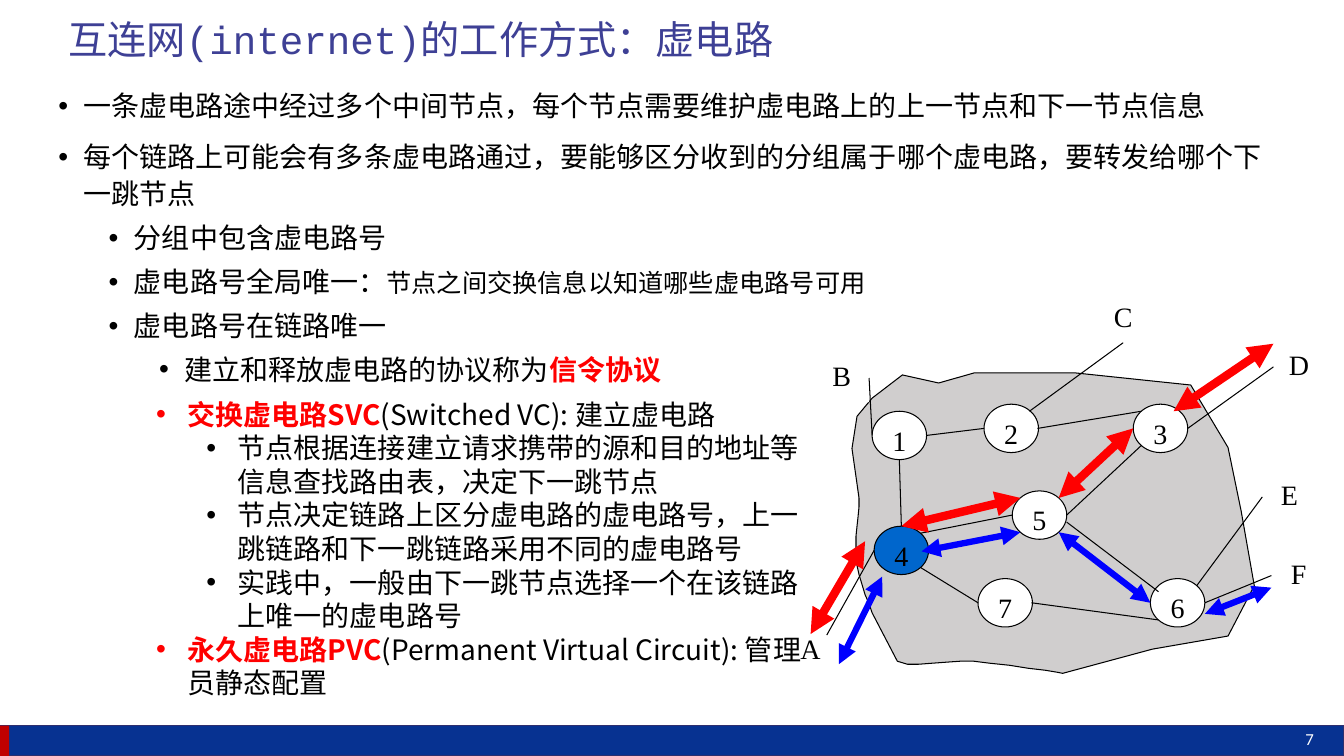
import pptx
import pptx.util
import pptx.dml.color
import pptx.enum.shapes
import pptx.enum.text
import pptx.oxml
import pptx.oxml.ns
from lxml import etree

PX = 9144
CJK = "Noto Sans CJK SC"
SHAPES = pptx.enum.shapes.MSO_SHAPE
ALIGN = pptx.enum.text.PP_ALIGN
ANCHOR = pptx.enum.text.MSO_ANCHOR


def color(value):
    return pptx.dml.color.RGBColor.from_string(value)


def apply(target, values):
    for name, value in values.items():
        setattr(target, name, value)


def add_xml(parent, tag, **attributes):
    element = etree.SubElement(parent, pptx.oxml.ns.qn(tag))
    for name, value in attributes.items():
        element.set(name, str(value))
    return element


def curve(start, first, second, end, steps=6):
    points = []
    for step in range(1, steps + 1):
        t = step / steps
        weights = ((1 - t) ** 3, 3 * t * (1 - t) ** 2, 3 * t * t * (1 - t), t ** 3)
        points.append(tuple(
            round(sum(w * p[axis] for w, p in zip(weights, (start, first, second, end))))
            for axis in (0, 1)))
    return points


class SlideBuilder:
    def __init__(self, page, font="Calibri", size=20, ink="000000"):
        self.page = page
        self.style = {"font": font, "size": size, "ink": ink, "bold": False}

    def span(self, para, text, **changes):
        style = {**self.style, **changes}
        span = para.add_run()
        span.text = text
        apply(span.font, {"name": style["font"], "bold": style["bold"],
                          "size": pptx.util.Pt(style["size"])})
        span.font.color.rgb = color(style["ink"])
        add_xml(span.font._element, "a:ea", typeface=CJK)

    def paint(self, shape, fill, line=None, width=0.75):
        shape.shadow.inherit = False
        shape.fill.solid()
        shape.fill.fore_color.rgb = color(fill)
        if line:
            shape.line.color.rgb = color(line)
            shape.line.width = pptx.util.Pt(width)
        else:
            shape.line.fill.background()

    def shape(self, kind, bounds, fill, line=None, width=0.75, label=None):
        shape = self.page.shapes.add_shape(kind, *(value * PX for value in bounds))
        self.paint(shape, fill, line, width)
        if label:
            shape.text_frame.vertical_anchor = ANCHOR.TOP
            para = shape.text_frame.paragraphs[0]
            para.alignment = ALIGN.CENTER
            self.span(para, label, font="Times New Roman")
        return shape

    def outline(self, points, fill, line):
        builder = self.page.shapes.build_freeform(*points[0], scale=PX)
        builder.add_line_segments(points[1:], close=True)
        self.paint(builder.convert_to_shape(), fill, line)

    def text_box(self, bounds, anchor=ANCHOR.TOP):
        box = self.page.shapes.add_textbox(*(value * PX for value in bounds))
        apply(box.text_frame, {"word_wrap": True, "vertical_anchor": anchor})
        return box.text_frame

    def text(self, bounds, text, anchor=ANCHOR.TOP, **changes):
        self.span(self.text_box(bounds, anchor).paragraphs[0], text, **changes)

    def bullets(self, bounds, items, pitch, hang, indents, spaces):
        frame = self.text_box(bounds)
        for number, (level, spans) in enumerate(items):
            para = frame.add_paragraph() if number else frame.paragraphs[0]
            apply(para, {"level": level, "line_spacing": pptx.util.Pt(pitch),
                         "space_before": pptx.util.Pt(spaces[level] if number else 0)})
            properties = para._p.get_or_add_pPr()
            properties.set("marL", str(indents[level] * PX))
            properties.set("indent", str(-hang * PX))
            add_xml(properties, "a:buFont", typeface="Arial")
            add_xml(properties, "a:buChar", char="•")
            for text, changes in spans:
                self.span(para, text, **changes)

    def line(self, ends, ink="000000", width=0.75, arrows=False, start=None, finish=None):
        line = self.page.shapes.add_connector(
            pptx.enum.shapes.MSO_CONNECTOR.STRAIGHT, *(value * PX for value in ends))
        line.line.color.rgb = color(ink)
        line.line.width = pptx.util.Pt(width)
        if arrows:
            for tag in ("a:headEnd", "a:tailEnd"):
                add_xml(line.line._get_or_add_ln(), tag, type="triangle")
        add_xml(line._element.spPr, "a:effectLst")
        if start:
            line.begin_connect(*start)
        if finish:
            line.end_connect(*finish)


def main():
    deck = pptx.Presentation()
    apply(deck, {"slide_width": 1333 * PX, "slide_height": 750 * PX})
    slide = SlideBuilder(deck.slides.add_slide(deck.slide_layouts[6]))

    slide.shape(SHAPES.RECTANGLE, (0, 720, 1333, 30), "073291", "2E2F6E", 1)
    slide.text((1285, 718, 77, 30), "7", size=12, ink="FFFFFF")
    slide.shape(SHAPES.RECTANGLE, (0, 720, 9, 30), "C00000")
    slide.text((58, 4, 1225, 70), "互连网(internet)的工作方式：虚电路", ANCHOR.MIDDLE,
               font="Courier New", size=28, ink="3E4095")

    red = {"font": CJK, "ink": "FF0000", "bold": True}
    plain = {"font": CJK}
    slide.bullets((48, 80, 1235, 614), [
        (0, [("一条虚电路途中经过多个中间节点，每个节点需要维护虚电路上的上一节点和下一节点信息", {})]),
        (0, [("每个链路上可能会有多条虚电路通过，要能够区分收到的分组属于哪个虚电路，要转发给哪个下一跳节点", {})]),
        (1, [("分组中包含虚电路号", {})]),
        (1, [("虚电路号全局唯一：", {}),
             ("节点之间交换信息以知道哪些虚电路号可用", {"font": CJK, "size": 18})]),
        (1, [("虚电路号在链路唯一", {})]),
        (2, [("建立和释放虚电路的协议称为", {}), ("信令协议", red)]),
    ], 26.4, 25, (25, 75, 125), (10, 5, 5))

    cloud = [(865, 395), (895, 372), (931, 380), (966, 370), (1067, 370), (1181, 382),
             (1218, 444), (1231, 507), (1244, 581), (1218, 631), (1143, 644), (1054, 668)]
    cloud += curve(cloud[-1], (1054, 668), (993, 658), (966, 656))
    cloud += curve(cloud[-1], (939, 654), (907, 664), (890, 656))
    cloud.append((865, 608))
    cloud += curve(cloud[-1], (858, 591), (851, 570), (849, 551))
    cloud += curve(cloud[-1], (847, 532), (853, 512), (852, 494))
    cloud += [(845, 445), (850, 413)]
    slide.outline(cloud, "D0CECE", "000000")

    hosts = {}
    for name, left, top, width in (("A", 777, 622, 54), ("B", 808, 351, 54),
                                   ("C", 1087, 292, 54), ("D", 1263, 340, 51),
                                   ("E", 1252, 469, 54), ("F", 1261, 547, 54)):
        hosts[name] = slide.shape(SHAPES.RECTANGLE, (left, top, width, 48), "FFFFFF", label=name)
    for name, left, top in (("1", 865, 408), ("2", 976, 401), ("3", 1124, 401),
                            ("4", 867, 522), ("5", 1004, 487), ("6", 1141, 574),
                            ("7", 970, 574)):
        fill = "0066CC" if name == "4" else "FFFFFF"
        slide.shape(SHAPES.OVAL, (left, top, 54, 48), fill, "000000", label=name)

    for ends in ((919, 432, 976, 425), (892, 456, 894, 522), (1004, 511, 913, 529),
                 (1029, 425, 1132, 408), (1058, 511, 1132, 442), (913, 563, 970, 598),
                 (1023, 598, 1149, 615), (1058, 518, 1149, 587), (820, 630, 867, 546)):
        slide.line(ends)
    slide.line((862, 375, 865, 432), start=(hosts["B"], 3))
    for name, side, ends in (("C", 2, (1021, 408, 1114, 340)), ("D", 1, (1178, 425, 1263, 364)),
                             ("E", 1, (1187, 581, 1252, 493)), ("F", 1, (1195, 598, 1261, 571))):
        slide.line(ends, finish=(hosts[name], side))

    circuits = (
        ("FF0000", 6, ((894, 522, 1012, 494), (1050, 494, 1124, 425),
                       (804, 629, 858, 537), (1164, 408, 1263, 341))),
        ("0000FF", 4.5, ((914, 547, 1012, 528), (1050, 528, 1141, 598),
                         (832, 659, 875, 572), (1195, 609, 1261, 583))),
    )
    for ink, width, hops in circuits:
        for ends in hops:
            slide.line(ends, ink, width, arrows=True)

    slide.bullets((145, 389, 667, 313), [
        (0, [("交换虚电路SVC", red), ("(Switched VC): 建立虚电路", plain)]),
        (1, [("节点根据连接建立请求携带的源和目的地址等信息查找路由表，决定下一跳节点", {})]),
        (1, [("节点决定链路上区分虚电路的虚电路号，上一跳链路和下一跳链路采用不同的虚电路号", {})]),
        (1, [("实践中，一般由下一跳节点选择一个在该链路上唯一的虚电路号", {})]),
        (0, [("永久虚电路PVC", red), ("(Permanent Virtual Circuit): 管理员静态配置", plain)]),
    ], 24, 31, (31, 81), (0, 0))

    deck.save("out.pptx")


if __name__ == "__main__":
    main()
